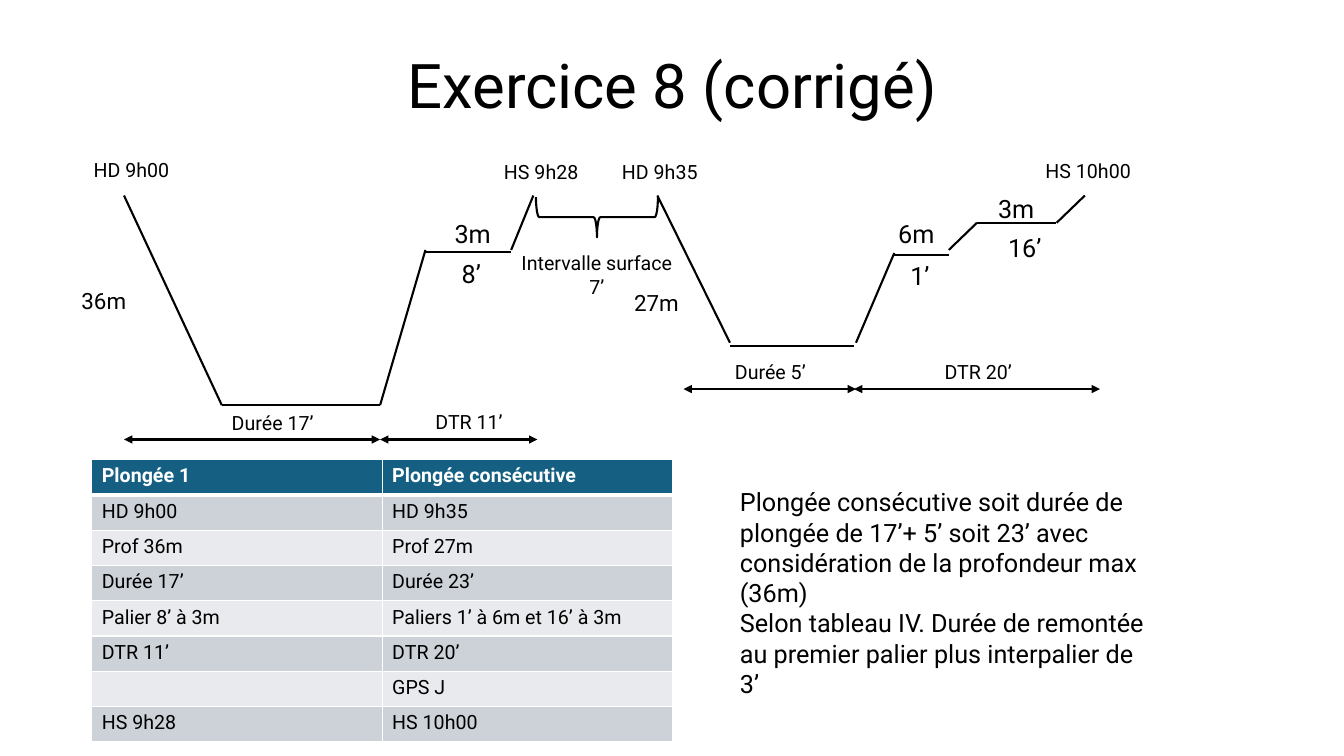
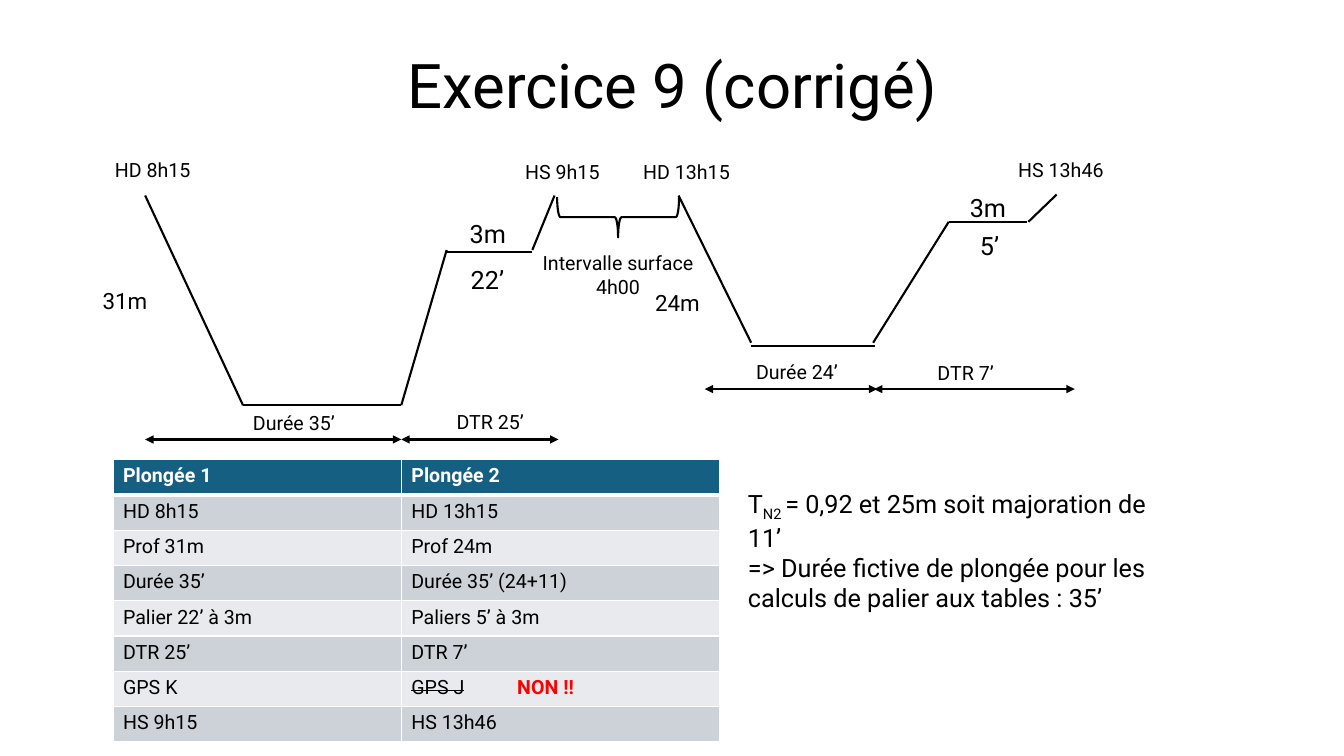
import pptx
import pptx.dml.color
import pptx.enum.shapes
import pptx.enum.text
import pptx.oxml.ns
import pptx.util
from lxml import etree

PX = 9144  # 100 px to the inch
FONT = "Roboto"
BLACK, WHITE, RED = "000000", "FFFFFF", "FF0000"
HEADER_FILL, ROW_FILLS = "156082", ("CCD2D8", "E8EAED")
ROW_HEIGHT = 35
CENTER = pptx.enum.text.PP_ALIGN.CENTER

# Dive profile common to every exercise: x1, y1, x2, y2
PROFILE = [
    (123, 194, 220, 402), (220, 402, 377, 402), (377, 402, 422, 248),
    (422, 250, 507, 250), (507, 248, 529, 194),
    (652, 194, 724, 340), (724, 343, 847, 343),
]
SPANS = [(123, 436, 377, 436), (377, 436, 533, 436), (678, 386, 849, 386)]
BRACE = (572, 155, 40, 121)
TABLE_LEFT, TABLE_TOP = 91, 456

# Labels common to every exercise: box, then format
LABELS = {
    "start_1": ((83, 154, 171, 49), dict(line_spacing=0.9)),
    "depth_1": ((71, 280, 73, 37), dict(size=16)),
    "duration_1": ((220, 403, 202, 34), {}),
    "ascent_1": ((422, 402, 170, 34), {}),
    "end_1": ((490, 154, 151, 34), {}),
    "interval": ((497, 244, 190, 57), dict(align=CENTER)),
    "start_2": ((607, 156, 171, 49), dict(line_spacing=0.9)),
    "depth_2": ((619, 282, 73, 37), dict(size=16)),
    "duration_2": ((719, 352, 202, 34), {}),
}

EXERCISES = [
    dict(
        title="Exercice 8 (corrigé)",
        shift=0,
        labels=dict(
            start_1="HD 9h00", depth_1="36m", duration_1="Durée 17’",
            ascent_1="DTR 11’", end_1="HS 9h28",
            interval=["Intervalle surface", "7’"],
            start_2="HD 9h35", depth_2="27m", duration_2="Durée 5’",
        ),
        ascent=[
            (849, 340, 887, 251), (887, 253, 941, 253), (941, 248, 969, 221),
            (969, 221, 1047, 221), (1048, 221, 1076, 194),
        ],
        ascent_span=(847, 386, 1091, 386),
        times=[("DTR 20’", 927, 352), ("HS 10h00", 1027, 153)],
        stops=[
            ("3m", 441, 212), ("8’", 448, 251), ("6m", 881, 212),
            ("1’", 893, 253), ("3m", 980, 187), ("16’", 990, 226),
        ],
        columns=(288, 288),
        rows=[
            ("Plongée 1", "Plongée consécutive"),
            ("HD 9h00", "HD 9h35"),
            ("Prof 36m", "Prof 27m"),
            ("Durée 17’", "Durée 23’"),
            ("Palier 8’ à 3m", "Paliers 1’ à 6m et 16’ à 3m"),
            ("DTR 11’", "DTR 20’"),
            ("", "GPS J"),
            ("HS 9h28", "HS 10h00"),
        ],
        note_box=(724, 478, 430, 192),
        note=[
            "Plongée consécutive soit durée de plongée de 17’+ 5’ soit 23’ "
            "avec considération de la profondeur max (36m)",
            "Selon tableau IV. Durée de remontée au premier palier plus "
            "interpalier de 3’",
        ],
    ),
    dict(
        title="Exercice 9 (corrigé)",
        shift=21,
        labels=dict(
            start_1="HD 8h15", depth_1="31m", duration_1="Durée 35’",
            ascent_1="DTR 25’", end_1="HS 9h15",
            interval=["Intervalle surface", "4h00"],
            start_2="HD 13h15", depth_2="24m", duration_2="Durée 24’",
        ),
        ascent=[
            (866, 340, 941, 220), (941, 220, 1019, 220), (1020, 220, 1048, 193),
        ],
        ascent_span=(867, 386, 1066, 386),
        times=[("DTR 7’", 920, 353), ("HS 13h46", 1000, 152)],
        stops=[
            ("3m", 456, 212), ("22’", 457, 257), ("3m", 952, 186), ("5’", 962, 224),
        ],
        columns=(286, 316),
        rows=[
            ("Plongée 1", "Plongée 2"),
            ("HD 8h15", "HD 13h15"),
            ("Prof 31m", "Prof 24m"),
            ("Durée 35’", "Durée 35’ (24+11)"),
            ("Palier 22’ à 3m", "Paliers 5’ à 3m"),
            ("DTR 25’", "DTR 7’"),
            ("GPS K", [[("GPS J", dict(strike=True)), "\t",
                        ("NON !!", dict(color=RED, bold=True))]]),
            ("HS 9h15", "HS 13h46"),
        ],
        note_box=(732, 479, 430, 131),
        note=[
            ["T", ("N2 ", dict(baseline=-25000)),
             "= 0,92 et 25m soit majoration de 11’"],
            "=> Durée fictive de plongée pour les calculs de palier aux tables : 35’",
        ],
    ),
]


def emu(*lengths):
    return [pptx.util.Emu(length * PX) for length in lengths]


def rgb(color):
    return pptx.dml.color.RGBColor.from_string(color)


def add_xml(parent, tag, **attributes):
    return etree.SubElement(parent, pptx.oxml.ns.qn(tag), **attributes)


def moved(box, shift):
    left, top, width, height = box
    return left + shift, top, width, height


def format_run(run, size, color=BLACK, bold=False, strike=False, baseline=0):
    run.font.name = FONT
    run.font.size = pptx.util.Pt(size)
    run.font.bold = bold
    run.font.color.rgb = rgb(color)
    properties = run.font._element
    if strike:
        properties.set("strike", "sngStrike")
    if baseline:
        properties.set("baseline", str(baseline))


def write_text(frame, content, size=14, align=None, line_spacing=None, tab=None, **style):
    """Content is a string or a list of paragraphs, each a string or a list of runs."""
    frame.word_wrap = True
    for index, runs in enumerate([content] if isinstance(content, str) else content):
        paragraph = frame.paragraphs[0] if index == 0 else frame.add_paragraph()
        paragraph.alignment = align
        if line_spacing:
            paragraph.line_spacing = line_spacing
        if tab:
            tabs = add_xml(paragraph._p.get_or_add_pPr(), "a:tabLst")
            add_xml(tabs, "a:tab", pos=str(tab * PX), algn="l")
        for item in [runs] if isinstance(runs, str) else runs:
            text, own_style = (item, {}) if isinstance(item, str) else item
            if text:
                run = paragraph.add_run()
                run.text = text
                format_run(run, size, **{**style, **own_style})
            else:
                add_xml(paragraph._p, "a:endParaRPr", sz=str(size * 100))


def add_label(slide, content, box, **style):
    write_text(slide.shapes.add_textbox(*emu(*box)).text_frame, content, **style)


def draw_outline(shape):
    shape.line.color.rgb = rgb(BLACK)
    shape.line.width = pptx.util.Pt(1.5)


def add_line(slide, x1, y1, x2, y2, arrows=False):
    connector = slide.shapes.add_connector(
        pptx.enum.shapes.MSO_CONNECTOR.STRAIGHT, *emu(x1, y1, x2, y2))
    draw_outline(connector)
    if arrows:
        for end in ("a:headEnd", "a:tailEnd"):
            add_xml(connector.line._get_or_add_ln(), end, type="triangle")
    add_xml(connector._element.spPr, "a:effectLst")


def add_title(slide, text):
    title = slide.shapes.title
    title.left, title.top, title.width, title.height = emu(92, 15, 1150, 145)
    title.text_frame.vertical_anchor = pptx.enum.text.MSO_ANCHOR.MIDDLE
    write_text(title.text_frame, text, size=44, align=CENTER, line_spacing=0.9)


def add_brace(slide, box):
    brace = slide.shapes.add_shape(pptx.enum.shapes.MSO_SHAPE.RIGHT_BRACE, *emu(*box))
    brace.rotation = 90
    brace.shadow.inherit = False
    brace.fill.background()
    draw_outline(brace)


def set_borders(cell, is_header, is_below_header):
    thick = {"B": is_header, "T": is_below_header}
    for side in "LRTB":
        width = pptx.util.Pt(3 if thick.get(side) else 1)
        line = add_xml(cell._tc.get_or_add_tcPr(), "a:ln" + side, w=str(width))
        add_xml(add_xml(line, "a:solidFill"), "a:srgbClr", val=WHITE)


def add_summary_table(slide, rows, columns, left):
    box = emu(left, TABLE_TOP, sum(columns), ROW_HEIGHT * len(rows))
    table = slide.shapes.add_table(len(rows), len(columns), *box).table
    for column, width in zip(table.columns, columns):
        column.width = emu(width)[0]
    for row_index, texts in enumerate(rows):
        is_header = row_index == 0
        fill = HEADER_FILL if is_header else ROW_FILLS[(row_index - 1) % 2]
        for column_index, text in enumerate(texts):
            cell = table.cell(row_index, column_index)
            set_borders(cell, is_header, row_index == 1)
            cell.fill.solid()
            cell.fill.fore_color.rgb = rgb(fill)
            write_text(cell.text_frame, text, bold=is_header,
                       color=WHITE if is_header else BLACK,
                       tab=None if isinstance(text, str) else 105)


def build_exercise(presentation, exercise):
    slide = presentation.slides.add_slide(presentation.slide_layouts[5])
    shift = exercise["shift"]
    add_title(slide, exercise["title"])
    for lines, own_lines, arrows in (
        (PROFILE, exercise["ascent"], False),
        (SPANS, [exercise["ascent_span"]], True),
    ):
        shifted = [(x1 + shift, y1, x2 + shift, y2) for x1, y1, x2, y2 in lines]
        for line in shifted + own_lines:
            add_line(slide, *line, arrows=arrows)
    add_brace(slide, moved(BRACE, shift))
    for name, (box, style) in LABELS.items():
        add_label(slide, exercise["labels"][name], moved(box, shift), **style)
    for text, left, top in exercise["times"]:
        add_label(slide, text, (left, top, 170, 34))
    for text, left, top in exercise["stops"]:
        add_label(slide, text, (left, top, 85, 40), size=18)
    add_summary_table(slide, exercise["rows"], exercise["columns"], TABLE_LEFT + shift)
    add_label(slide, exercise["note"], exercise["note_box"], size=18)


def main():
    presentation = pptx.Presentation()
    presentation.slide_width, presentation.slide_height = emu(1333, 750)
    for exercise in EXERCISES:
        build_exercise(presentation, exercise)
    presentation.save("out.pptx")


if __name__ == "__main__":
    main()
